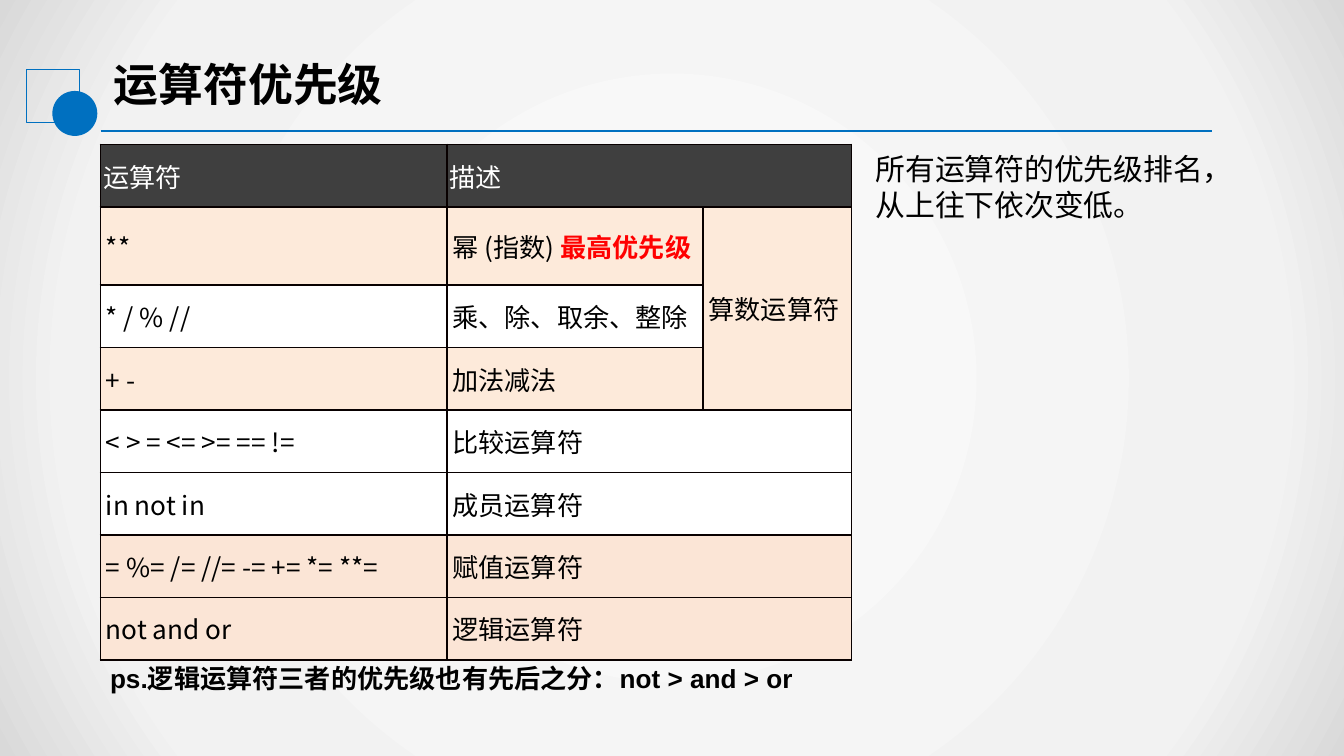
from lxml.etree import SubElement
from pptx import Presentation
from pptx.dml.color import RGBColor
from pptx.enum.shapes import MSO_CONNECTOR, MSO_SHAPE
from pptx.enum.text import MSO_ANCHOR, PP_ALIGN
from pptx.oxml import parse_xml
from pptx.oxml.ns import nsdecls, qn
from pptx.util import Cm, Pt

CJK, LATIN = "Noto Sans CJK SC", "Arial"
BLACK, WHITE, RED, BLUE = "000000", "FFFFFF", "FF0000", "0070C0"
HEADER, PEACH, ROSE = "3F3F3F", "FDEADA", "FBE5D6"
BORDER = "080000"


def rgb(value):
    return RGBColor.from_string(value)


class Deck:
    def __init__(self, width, height):
        self.presentation = Presentation()
        self.presentation.slide_width = Cm(width)
        self.presentation.slide_height = Cm(height)
        layout = self.presentation.slide_layouts[5]
        self.slide = self.presentation.slides.add_slide(layout)

    def background(self, stops):
        """Fill the slide with a gradient spreading from its centre."""
        self.slide.background.fill.gradient()
        gradient = self.slide.element.find(".//" + qn("a:gradFill"))
        marks = "".join(
            f'<a:gs pos="{percent * 1000}"><a:srgbClr val="{color}"/></a:gs>'
            for percent, color in stops)
        radial = parse_xml(
            f'<a:gradFill {nsdecls("a")} rotWithShape="1"><a:gsLst>{marks}</a:gsLst>'
            '<a:path path="circle"><a:fillToRect l="50000" t="50000" '
            'r="50000" b="50000"/></a:path></a:gradFill>')
        gradient.getparent().replace(gradient, radial)

    def run(self, paragraph, text, size, font=CJK, color=BLACK, bold=False):
        run = paragraph.add_run()
        run.text = text
        run.font.size, run.font.bold, run.font.name = Pt(size), bold, font
        run.font.color.rgb = rgb(color)
        SubElement(run.font._element, qn("a:ea"), typeface=font)

    def title(self, text, left, top, width, height):
        title = self.slide.shapes.title
        title.left, title.top = Cm(left), Cm(top)
        title.width, title.height = Cm(width), Cm(height)
        title.text_frame.vertical_anchor = MSO_ANCHOR.MIDDLE
        paragraph = title.text_frame.paragraphs[0]
        paragraph.alignment = PP_ALIGN.LEFT
        self.run(paragraph, text, 24, bold=True)

    def text(self, lines, left, top, width, height, size, bold=False):
        box = self.slide.shapes.add_textbox(Cm(left), Cm(top), Cm(width), Cm(height))
        frame = box.text_frame
        frame.word_wrap = True
        for index, line in enumerate(lines):
            paragraph = frame.add_paragraph() if index else frame.paragraphs[0]
            self.run(paragraph, line, size, LATIN, bold=bold)

    def shape(self, kind, left, top, side, fill=None, line=None):
        shape = self.slide.shapes.add_shape(kind, Cm(left), Cm(top), Cm(side), Cm(side))
        shape.shadow.inherit = False
        if fill:
            shape.fill.solid()
            shape.fill.fore_color.rgb = rgb(fill)
        else:
            shape.fill.background()
        if line:
            shape.line.color.rgb = rgb(line)
            shape.line.width = Pt(0.75)
        else:
            shape.line.fill.background()

    def rule(self, left, right, y):
        rule = self.slide.shapes.add_connector(
            MSO_CONNECTOR.STRAIGHT, Cm(left), Cm(y), Cm(right), Cm(y))
        rule.line.color.rgb = rgb(BLUE)
        rule.line.width = Pt(1.25)
        SubElement(rule._element.spPr, qn("a:effectLst"))

    def table(self, rows, left, top, widths, heights):
        """Draw rows of (fill, edge margin, cells); a cell lists (text, style) runs."""
        table = self.slide.shapes.add_table(
            len(rows), len(widths), Cm(left), Cm(top),
            Cm(sum(widths)), Cm(sum(heights))).table
        for column, width in zip(table.columns, widths):
            column.width = Cm(width)
        for y, (fill, edge, cells) in enumerate(rows):
            table.rows[y].height = Cm(heights[y])
            for x in range(len(widths)):
                runs = cells[x] if x < len(cells) else []
                self.cell(table.cell(y, x), runs, fill, 0.1 if y else 0.05, edge)
        return table

    def cell(self, cell, runs, fill, side, edge):
        cell.margin_left = cell.margin_right = Cm(side)
        cell.margin_top = cell.margin_bottom = Cm(edge)
        cell.vertical_anchor = MSO_ANCHOR.MIDDLE
        for text, style in runs:
            self.run(cell.text_frame.paragraphs[0], text, 14, **style)
        properties = cell._tc.get_or_add_tcPr()
        for tag in ("a:lnL", "a:lnR", "a:lnT", "a:lnB"):
            line = SubElement(properties, qn(tag), w=str(Pt(1)))
            SubElement(SubElement(line, qn("a:solidFill")), qn("a:srgbClr"), val=BORDER)
        cell.fill.solid()
        cell.fill.fore_color.rgb = rgb(fill)


def plain(*texts, color=BLACK):
    return [[(text, {"color": color})] for text in texts]


def main():
    deck = Deck(25.4, 14.29)
    deck.background([(0, "FBFBFB"), (79, "F2F2F2"), (100, "D9D9D9")])
    deck.title("运算符优先级", 1.9, 0.95, 11.6, 1.27)
    deck.shape(MSO_SHAPE.RECTANGLE, 0.5, 1.32, 1, line=BLUE)
    deck.rule(1.9, 22.9, 2.47)
    deck.shape(MSO_SHAPE.OVAL, 0.99, 1.72, 0.85, fill=BLUE)

    power = [("幂 (指数) ", {}), ("最高优先级", {"color": RED, "bold": True})]
    operators = [
        (HEADER, 0.05, plain("运算符", "描述", color=WHITE)),
        (PEACH, 0.02, [*plain("**"), power, *plain("算数运算符")]),
        (WHITE, 0.15, plain("* / % //", "乘、除、取余、整除")),
        (PEACH, 0.15, plain("+ -", "加法减法")),
        (WHITE, 0.15, plain("< > = <= >= == !=", "比较运算符")),
        (WHITE, 0.15, plain("in not in", "成员运算符")),
        (ROSE, 0.15, plain("= %= /= //= -= += *= **=", "赋值运算符")),
        (ROSE, 0.15, plain("not and or", "逻辑运算符")),
    ]
    arithmetic = range(1, 4)
    heights = [1.18, 1.48] + [1.18] * 6
    table = deck.table(operators, 1.9, 2.73, [6.55, 4.84, 2.8], heights)
    table.cell(arithmetic[0], 2).merge(table.cell(arithmetic[-1], 2))
    for row in range(len(operators)):
        if row not in arithmetic:
            table.cell(row, 1).merge(table.cell(row, 2))

    deck.text(["所有运算符的优先级排名，", "从上往下依次变低。"], 16.3, 2.73, 7.98, 1.63, 16)
    deck.text(["ps.逻辑运算符三者的优先级也有先后之分：not > and > or"],
              1.83, 12.4, 14.12, 0.86, 14, bold=True)
    deck.presentation.save("out.pptx")


if __name__ == "__main__":
    main()
